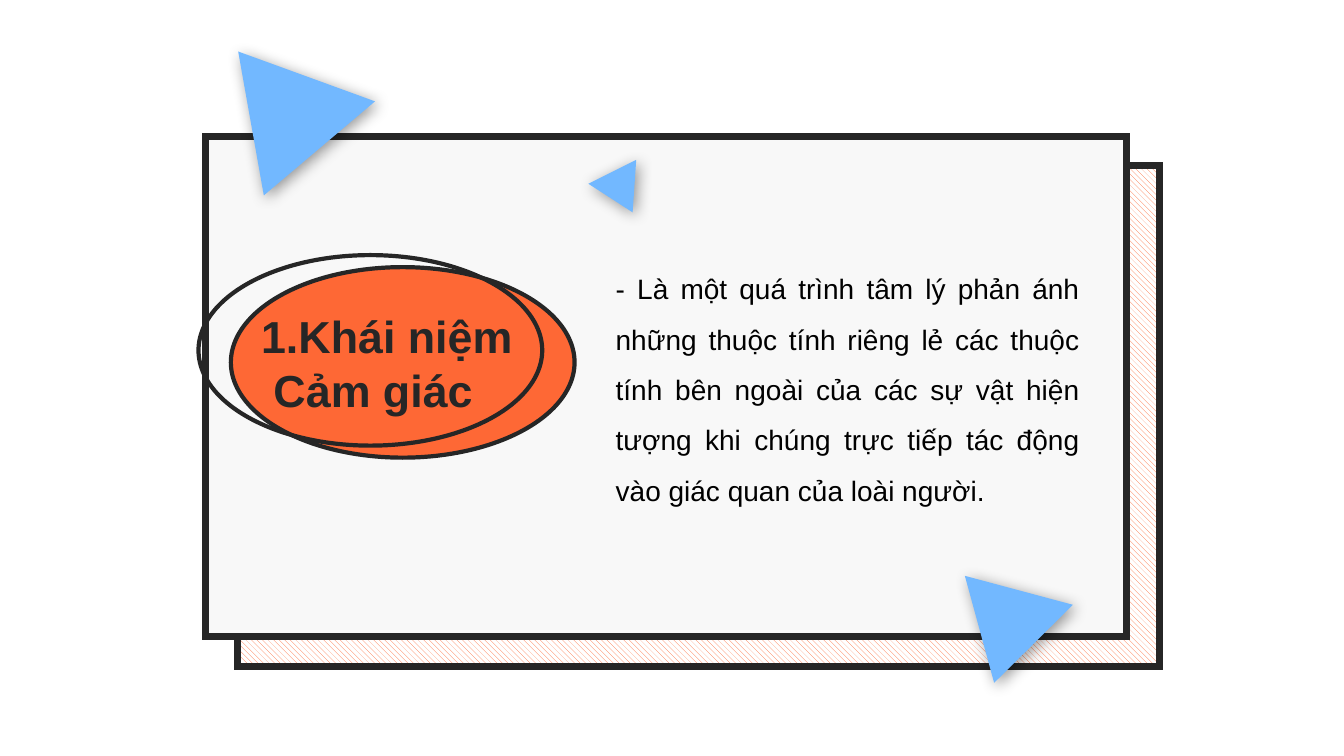
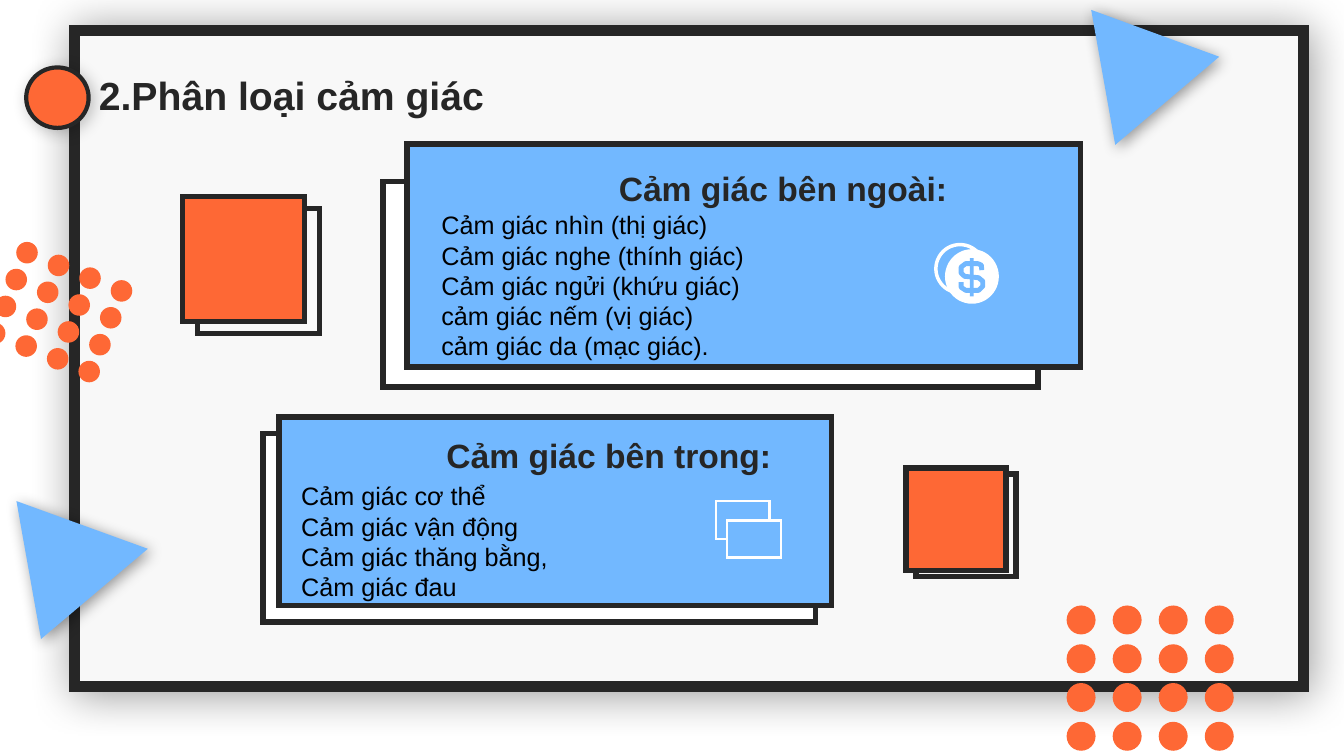
"""Build two slides on the concept and the kinds of sensation."""
from lxml import etree
from pptx import Presentation
from pptx import util as u
from pptx.dml.color import RGBColor
from pptx.enum import dml, shapes, text
from pptx.oxml.ns import qn

COLORS = {
    "ink": "262626",
    "black": "000000",
    "orange": "FE6835",
    "blue": "72B8FF",
    "paper": "F8F8F8",
    "white": "FFFFFF",
}
FONT = "Arial"
RECT = shapes.MSO_SHAPE.RECTANGLE
OVAL = shapes.MSO_SHAPE.OVAL
TRIANGLE = shapes.MSO_SHAPE.ISOSCELES_TRIANGLE


def draw(slide, kind, box, fill=None, width=0, edge="ink", blur=0, alpha=40, turn=0):
    """Add a preset shape with an optional outline and soft shadow."""
    shape = slide.shapes.add_shape(kind, *[u.Pt(value) for value in box])
    shape.rotation = turn
    if fill:
        shape.fill.solid()
        shape.fill.fore_color.rgb = RGBColor.from_string(COLORS[fill])
    else:
        shape.fill.background()
    if width:
        shape.line.width = u.Pt(width)
        shape.line.color.rgb = RGBColor.from_string(COLORS[edge])
        outline = shape.element.spPr.find(qn("a:ln"))
        etree.SubElement(outline, qn("a:miter"), lim="800000")
    else:
        shape.line.fill.background()
    shape.shadow.inherit = False
    if blur:
        effects = shape.element.spPr.find(qn("a:effectLst"))
        cast = etree.SubElement(effects, qn("a:outerShdw"), blurRad=str(u.Pt(blur)),
                                dist=str(u.Pt(3)), dir="2700000", algn="tl", rotWithShape="0")
        tint = etree.SubElement(cast, qn("a:srgbClr"), val=COLORS["black"])
        etree.SubElement(tint, qn("a:alpha"), val=str(alpha * 1000))
    return shape


def write(holder, box, lines, size, color="ink", bold=True, wrap=True):
    """Place a text holder and fill it with formatted paragraphs."""
    holder.left, holder.top, holder.width, holder.height = [u.Pt(value) for value in box]
    frame = holder.text_frame
    frame.text = "\n".join(lines)
    frame.word_wrap = wrap
    frame.auto_size = text.MSO_AUTO_SIZE.SHAPE_TO_FIT_TEXT
    frame.vertical_anchor = text.MSO_ANCHOR.TOP
    for paragraph in frame.paragraphs:
        paragraph.alignment = text.PP_ALIGN.LEFT
        for run in paragraph.runs:
            run.font.name = FONT
            run.font.size = u.Pt(size)
            run.font.bold = bold
            run.font.color.rgb = RGBColor.from_string(COLORS[color])
    return frame


deck = Presentation()
deck.slide_width, deck.slide_height = u.Pt(960), u.Pt(540)
title_only = deck.slide_layouts[5]

concept = deck.slides.add_slide(title_only)
hatched_card = draw(concept, RECT, (169.9, 118.1, 658, 357.8), "white", 5)
hatched_card.fill.patterned()
hatched_card.fill.pattern = dml.MSO_PATTERN.WIDE_DOWNWARD_DIAGONAL
hatched_card.fill.fore_color.rgb = RGBColor.from_string(COLORS["orange"])
hatched_card.fill.back_color.rgb = RGBColor.from_string(COLORS["white"])
draw(concept, RECT, (146.9, 97.2, 658, 357.8), "paper", 5)

badge = draw(concept, OVAL, (164.9, 190.8, 245.5, 136.1), "orange", 3)
concept_title = concept.shapes.title
write(concept_title, (179.3, 216.7, 240.5, 85), ["1.Khái niệm", " Cảm giác"], 32)
badge.element.addnext(concept_title.element)
draw(concept, OVAL, (141.8, 182.2, 245.5, 136.1), None, 3)

definition = write(
    concept.shapes.add_textbox(0, 0, 0, 0), (432.7, 178.6, 345.6, 184.3),
    ["- Là một quá trình tâm lý phản ánh những thuộc tính riêng lẻ các thuộc tính "
     "bên ngoài của các sự vật hiện tượng khi chúng trực tiếp tác động vào giác quan "
     "của loài người."], 20, "black", False)
definition.paragraphs[0].alignment = text.PP_ALIGN.JUSTIFY
definition.paragraphs[0].line_spacing = 1.5

kinds = deck.slides.add_slide(title_only)
draw(kinds, RECT, (53.3, 21.6, 877.7, 468.7), "paper", 8, blur=32)
bullet = draw(kinds, OVAL, (18.7, 48.2, 44.6, 43.2), "orange", 3, blur=12, alpha=23)
kinds_title = kinds.shapes.title
write(kinds_title, (63.4, 47.5, 300.2, 41), ["2.Phân loại cảm giác"], 28, wrap=False)
bullet.element.addnext(kinds_title.element)

for left, top, width, height, dx, dy in [
    (130.3, 140.4, 87.1, 89.3, 10.8, 8.6),
    (647.3, 334.1, 71.3, 73.4, 7.2, 4.3),
]:
    draw(kinds, RECT, (left + dx, top + dy, width, height), "paper", 4)
    draw(kinds, RECT, (left, top, width, height), "orange", 4)

sensation_groups = [
    ("Cảm giác bên ngoài:", (434.9, 116.6, 251.3, 36),
     ["Cảm giác nhìn (thị giác)", "Cảm giác nghe (thính giác)",
      "Cảm giác ngửi (khứu giác)", "cảm giác nếm (vị giác)",
      "cảm giác da (mạc giác)."], (308.2, 146.2, 285.1, 116.6),
     (273.6, 129.6, 468, 146.9), (290.9, 103, 481, 159.1)),
    ("Cảm giác bên trong:", (311.8, 307.4, 248.4, 36),
     ["Cảm giác cơ thể", "Cảm giác vận động", "Cảm giác thăng bằng,",
      "Cảm giác đau"], (208.1, 339.8, 362.9, 94.3),
     (187.9, 309.6, 394.6, 134.6), (199.4, 298.1, 394.6, 134.6)),
]
for heading, heading_box, senses, senses_box, backing, card in sensation_groups:
    draw(kinds, RECT, backing, "white", 4)
    draw(kinds, RECT, card, "blue", 4)
    write(kinds.shapes.add_textbox(0, 0, 0, 0), senses_box, senses, 18, "black", False)
    write(kinds.shapes.add_textbox(0, 0, 0, 0), heading_box, [heading], 24, wrap=False)

draw(kinds, OVAL, (668.5, 174.7, 34.5, 34.5), None, 2.5, "white")
draw(kinds, OVAL, (675, 178, 38.5, 39), "white")
dollar_curve = [
    (701.3, 193), (701, 189.4), (698.4, 188.3), (689.8, 188.3), (686.5, 190.8),
    (686.5, 195.1), (689, 197.4), (699, 198.4), (702, 200.9), (702, 204.5),
    (699, 207.4), (689.8, 207.4), (686.5, 205.2), (686.5, 201.6),
]
curve_points = [(u.Pt(x), u.Pt(y)) for x, y in dollar_curve]
pen = kinds.shapes.build_freeform(*curve_points[0], scale=1)
pen.add_line_segments(curve_points[1:], close=False)
dollar = pen.convert_to_shape()
dollar.fill.background()
dollar.line.width = u.Pt(3.5)
dollar.line.color.rgb = RGBColor.from_string(COLORS["blue"])
dollar.shadow.inherit = False
draw(kinds, RECT, (692.7, 184.3, 2.8, 27.4), "blue")

for window in [(511.4, 358, 38.5, 27), (519.3, 371.7, 38.5, 26.5)]:
    draw(kinds, RECT, window, "blue", 1.8, "white")

for slide, box, turn in [
    (concept, (171.4, 35.3, 104.4, 90), 79.9),
    (concept, (425.5, 121, 38.2, 32.4), 153.4),
    (concept, (679, 420.5, 79.9, 68.4), 195),
    (kinds, (780.5, 5.8, 97.9, 84.2), 79.9),
    (kinds, (13, 356.4, 100.1, 86.4), 79.9),
]:
    draw(slide, TRIANGLE, box, "blue", blur=11, turn=turn)

for left, top, across, down, size in [
    (761.9, 432.5, (32.9, 0), (0, 27.7), 20.7),
    (11.6, 172.8, (22.5, 9.1), (-7.7, 19.2), 15.4),
]:
    for row in range(4):
        for column in range(4):
            x = left + column * across[0] + row * down[0]
            y = top + column * across[1] + row * down[1]
            draw(kinds, OVAL, (x, y, size, size), "orange")

deck.save("out.pptx")
